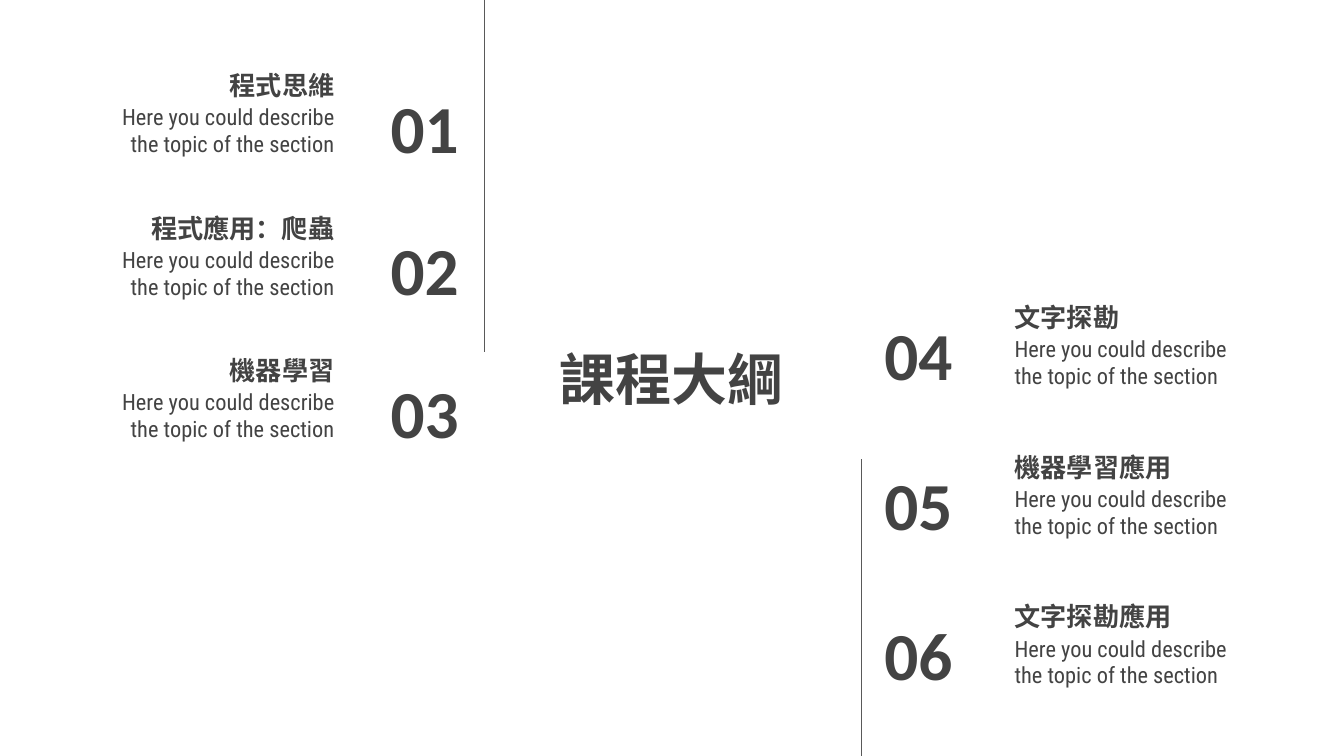
from lxml import etree
from pptx import Presentation
from pptx.dml.color import RGBColor
from pptx.enum.shapes import MSO_CONNECTOR
from pptx.enum.text import MSO_ANCHOR, MSO_AUTO_SIZE, PP_ALIGN
from pptx.oxml.ns import qn
from pptx.util import Pt

PX = 5715
SLIDE_W, SLIDE_H = 1600, 900
INK = RGBColor(0x43, 0x43, 0x43)
RULE = RGBColor(0x59, 0x59, 0x59)
LEFT, CENTER, RIGHT = PP_ALIGN.LEFT, PP_ALIGN.CENTER, PP_ALIGN.RIGHT
TOP, MIDDLE, BOTTOM = MSO_ANCHOR.TOP, MSO_ANCHOR.MIDDLE, MSO_ANCHOR.BOTTOM
NO_FIT = MSO_AUTO_SIZE.NONE
STRAIGHT = MSO_CONNECTOR.STRAIGHT

HEADING = {"name": "Calibri", "size": Pt(30), "bold": True}
NUMBER = {"name": "Calibri", "size": Pt(36), "bold": True}
TOPIC = {"name": "Calibri", "size": Pt(14), "bold": True}
DETAIL = {"name": "Roboto Condensed", "size": Pt(12), "bold": False}
DETAIL_TEXT = "Here you could describe the topic of the section"
TOPIC_W, DETAIL_W, PART_H = 346, 293, 101


def emu(*lengths):
    """Turn px lengths into EMU."""
    return [round(length * PX) for length in lengths]


def write(holder, text, style, align, anchor):
    """Fill a text holder with one formatted paragraph."""
    frame = holder.text_frame
    frame.text = text
    margins = dict.fromkeys(
        ("margin_left", "margin_top", "margin_right", "margin_bottom"), 16 * PX)
    layout = {"word_wrap": True, "auto_size": NO_FIT, "vertical_anchor": anchor}
    for key, value in {**margins, **layout}.items():
        setattr(frame, key, value)
    paragraph = frame.paragraphs[0]
    paragraph.alignment = align
    font = paragraph.runs[0].font
    for key, value in style.items():
        setattr(font, key, value)
    font.color.rgb = INK


def add_heading(slide, box):
    """Place the slide title in its box."""
    title = slide.shapes.title
    title.left, title.top, title.width, title.height = emu(*box)
    write(title, "課程大綱", HEADING, CENTER, MIDDLE)


def add_section(slide, box, number, topic, align):
    """Place number, topic and detail, with the number on the inner side."""
    left, top, width, _ = box
    if align == RIGHT:
        topic_x, detail_x = left, left + TOPIC_W - DETAIL_W
        number_x, number_y, number_w = left + width - 194, top + 65, 194
    else:
        topic_x = detail_x = left + width - TOPIC_W
        number_x, number_y, number_w = left, top + 60, 187
    parts = (
        (number_x, number_y, number_w, number, NUMBER, MIDDLE),
        (topic_x, top, TOPIC_W, topic, TOPIC, BOTTOM),
        (detail_x, top + 72, DETAIL_W, DETAIL_TEXT, DETAIL, TOP),
    )
    for x, y, w, text, style, anchor in parts:
        holder = slide.shapes.add_textbox(*emu(x, y, w, PART_H))
        write(holder, text, style, align, anchor)


def add_column(slide, box, first, topics, align):
    """Stack numbered sections at an equal pitch within the box."""
    left, top, width, height = box
    pitch = height / len(topics)
    for index, topic in enumerate(topics):
        section = (left, top + pitch * index, width, pitch)
        add_section(slide, section, f"{first + index:02}", topic, align)


def add_divider(slide, x, top, bottom):
    """Draw a thin vertical line."""
    divider = slide.shapes.add_connector(STRAIGHT, *emu(x, top, x, bottom))
    divider.line.color.rgb = RULE
    divider.line.width = Pt(0.75)
    etree.SubElement(divider._element.spPr, qn("a:effectLst"))


def main():
    """Build and save the course outline slide."""
    deck = Presentation()
    deck.slide_width, deck.slide_height = emu(SLIDE_W, SLIDE_H)
    slide = deck.slides.add_slide(deck.slide_layouts[5])
    add_heading(slide, (592, 368, 414, 165))
    add_column(slide, (68, 35, 494, 509), 1,
               ("程式思維", "程式應用：爬蟲", "機器學習"), RIGHT)
    add_column(slide, (1037, 311, 501, 535), 4,
               ("文字探勘", "機器學習應用", "文字探勘應用"), LEFT)
    add_divider(slide, 577, 0, 419)
    add_divider(slide, 1026, 547, SLIDE_H)
    deck.save("out.pptx")


if __name__ == "__main__":
    main()
